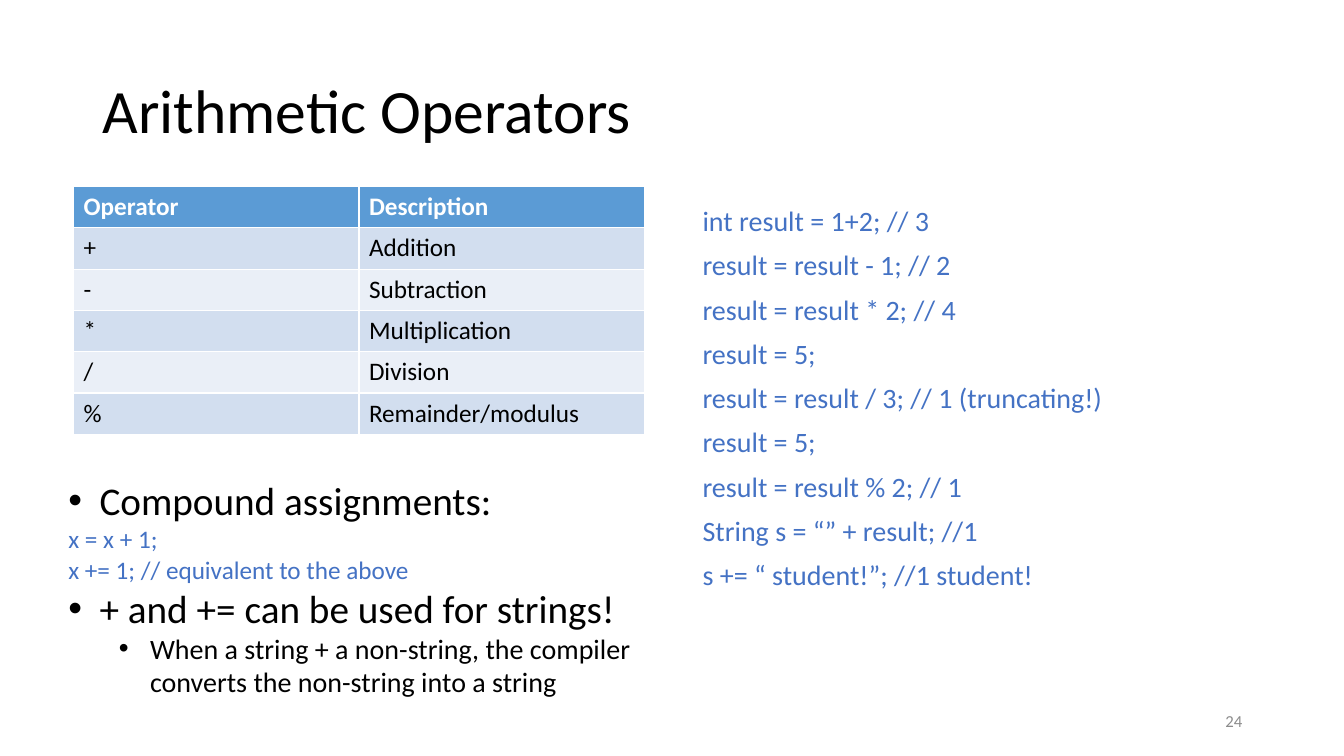
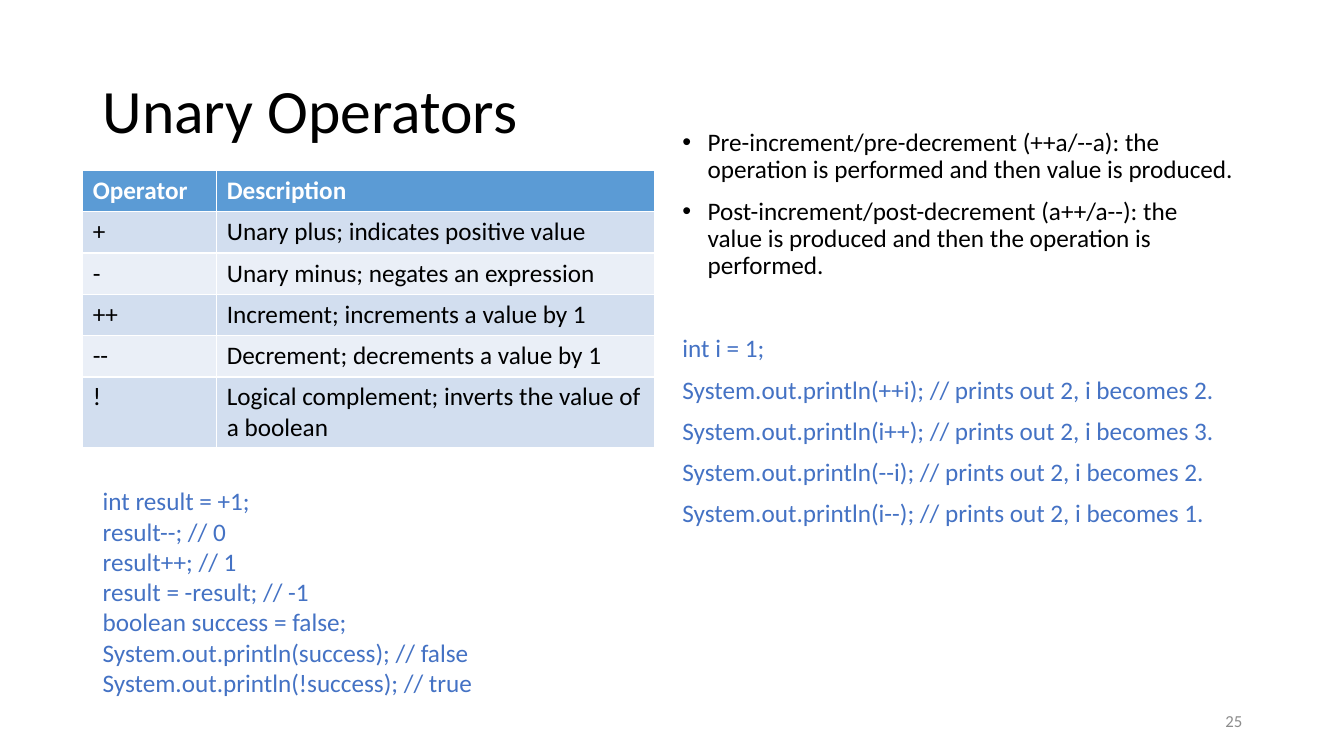
from lxml import etree
from pptx import Presentation
from pptx import util as u
from pptx.dml.color import RGBColor
from pptx.enum import text as t
from pptx.oxml.ns import qn

BLACK = RGBColor(0, 0, 0)
WHITE = RGBColor(255, 255, 255)
CODE = RGBColor(0x44, 0x72, 0xC4)
GRAY = RGBColor(0x8C, 0x8C, 0x8C)
HEAD = RGBColor(0x5B, 0x9B, 0xD5)
BANDS = RGBColor(0xEA, 0xEF, 0xF7), RGBColor(0xD2, 0xDE, 0xEF)
FONT = "Calibri"
TITLE = 0.92, 0.4, 11.5, 1.45
FOOT = 9.42, 6.95, 3, 0.4
ROW = 0.41


def style(para, size, color, bold=False):
    """Set the font of every run in a paragraph."""
    for run in para.runs:
        font = run.font
        font.name, font.size, font.bold = FONT, u.Pt(size), bold
        font.color.rgb = color


def bullet(para, left, hang):
    """Give a paragraph a hanging round bullet."""
    props = para._p.get_or_add_pPr()
    props.set("marL", str(u.Inches(left)))
    props.set("indent", str(-u.Inches(hang)))
    etree.SubElement(props, qn("a:buFont")).set("typeface", "Arial")
    etree.SubElement(props, qn("a:buChar")).set("char", "•")


def add_text(slide, box, lines, anchor=t.MSO_ANCHOR.TOP, line=None, gap=0):
    """Write (text, size, color, bullet indent) lines into a box."""
    frame = slide.shapes.add_textbox(*map(u.Inches, box)).text_frame
    frame.word_wrap = True
    frame.vertical_anchor = anchor
    frame.text = "\n".join(item[0] for item in lines)
    for para, (_, size, color, indent) in zip(frame.paragraphs, lines):
        style(para, size, color)
        para.space_before = u.Pt(gap)
        if line:
            para.line_spacing = line
        if indent:
            bullet(para, *indent)
    return frame.paragraphs


def code(source, size):
    """Turn source text into code lines."""
    return [(row, size, CODE, None) for row in source.splitlines()]


def add_grid(slide, left, top, widths, rows):
    """Draw a banded table of operators under a header row."""
    rows = [("Operator", "Description"), *rows]
    box = left, top, sum(widths), ROW * len(rows)
    grid = slide.shapes.add_table(len(rows), len(widths), *map(u.Inches, box)).table
    for col, width in zip(grid.columns, widths):
        col.width = u.Inches(width)
    for i, row in enumerate(rows):
        for j, word in enumerate(row):
            cell = grid.cell(i, j)
            cell.text = word
            cell.fill.solid()
            cell.fill.fore_color.rgb = BANDS[i % 2] if i else HEAD
            style(cell.text_frame.paragraphs[0], 18, BLACK if i else WHITE, not i)


def add_slide(deck, title, number):
    """Start a slide with its title and page number."""
    slide = deck.slides.add_slide(deck.slide_layouts[6])
    middle = t.MSO_ANCHOR.MIDDLE
    add_text(slide, TITLE, [(title, 44, BLACK, None)], middle, 0.9)
    foot = add_text(slide, FOOT, [(str(number), 12, GRAY, None)], middle)
    foot[0].alignment = t.PP_ALIGN.RIGHT
    return slide


def arithmetic(deck):
    """Build the slide on arithmetic operators."""
    slide = add_slide(deck, "Arithmetic Operators", 24)
    add_grid(slide, 0.73, 1.85, (2.83, 2.83), [
        ("+", "Addition"), ("-", "Subtraction"), ("*", "Multiplication"),
        ("/", "Division"), ("%", "Remainder/modulus")])
    add_text(slide, (6.87, 2.01, 5.67, 4.76), code("""int result = 1+2; // 3
result = result - 1; // 2
result = result * 2; // 4
result = 5;
result = result / 3; // 1 (truncating!)
result = 5;
result = result % 2; // 1
String s = “” + result; //1
s += “ student!”; //1 student!""", 20), line=0.9, gap=10)
    outer, inner = (0.31, 0.31), (0.81, 0.31)
    add_text(slide, (0.58, 4.68, 5.97, 2.32), [
        ("Compound assignments:", 28, BLACK, outer),
        *code("x = x + 1;\nx += 1; // equivalent to the above", 18),
        ("+ and += can be used for strings!", 28, BLACK, outer),
        ("When a string + a non-string, the compiler converts "
         "the non-string into a string", 20, BLACK, inner)])


def unary(deck):
    """Build the slide on unary operators."""
    slide = add_slide(deck, "Unary Operators", 25)
    add_grid(slide, 0.82, 1.69, (1.33, 4.34), [
        ("+", "Unary plus; indicates positive value"),
        ("-", "Unary minus; negates an expression"),
        ("++", "Increment; increments a value by 1"),
        ("--", "Decrement; decrements a value by 1"),
        ("!", "Logical complement; inverts the value of a boolean")])
    hang = 0.25, 0.25
    notes = [
        ("Pre-increment/pre-decrement (++a/--a): the operation is "
         "performed and then value is produced.", 18, BLACK, hang),
        ("Post-increment/post-decrement (a++/a--): the value is "
         "produced and then the operation is performed.", 18, BLACK, hang)]
    paras = add_text(slide, (6.67, 1.24, 5.67, 5.03), notes + code("""int i = 1;
System.out.println(++i); // prints out 2, i becomes 2.
System.out.println(i++); // prints out 2, i becomes 3.
System.out.println(--i); // prints out 2, i becomes 2.
System.out.println(i--); // prints out 2, i becomes 1.""", 18), line=0.9, gap=10)
    paras[len(notes)].space_before = u.Pt(40)
    add_text(slide, (0.92, 4.77, 5.5, 2.22), code("""int result = +1;
result--; // 0
result++; // 1
result = -result; // -1
boolean success = false;
System.out.println(success); // false
System.out.println(!success); // true""", 18))


deck = Presentation()
deck.slide_width, deck.slide_height = u.Inches(13.33), u.Inches(7.5)
arithmetic(deck)
unary(deck)
deck.save("out.pptx")
